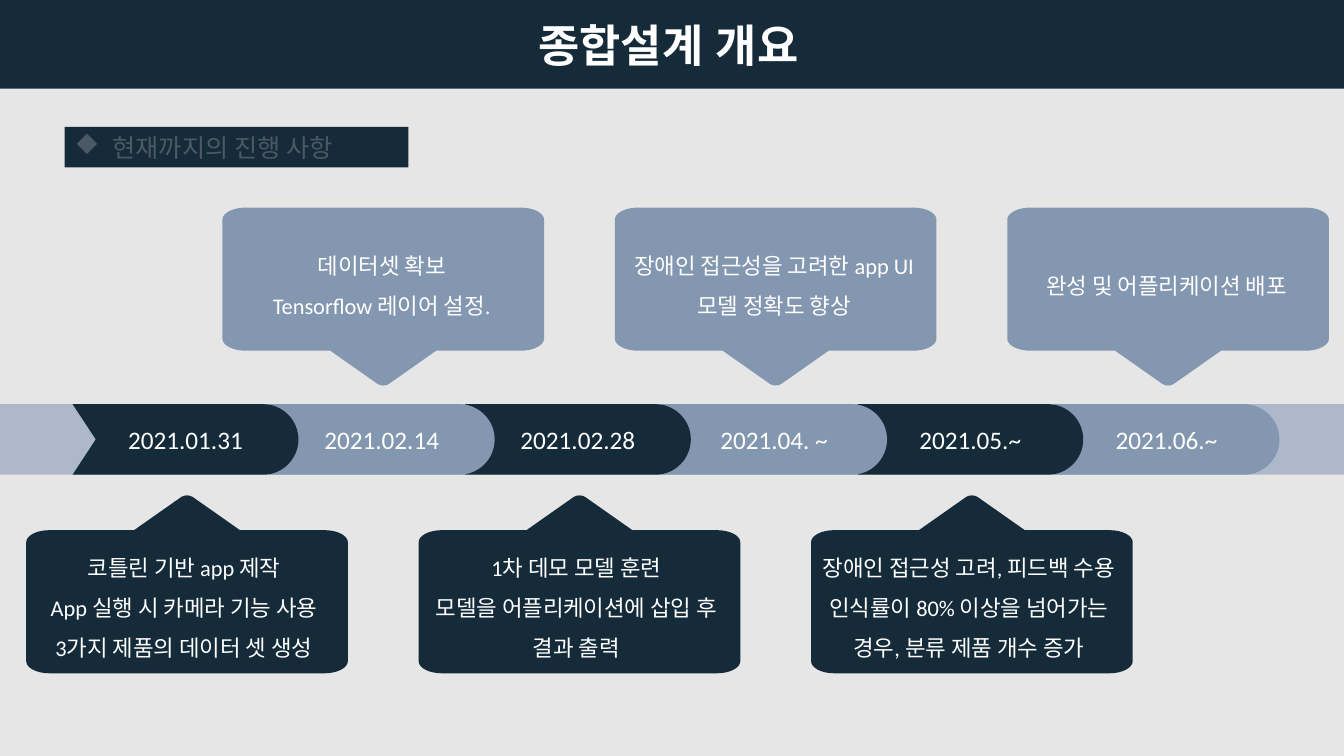
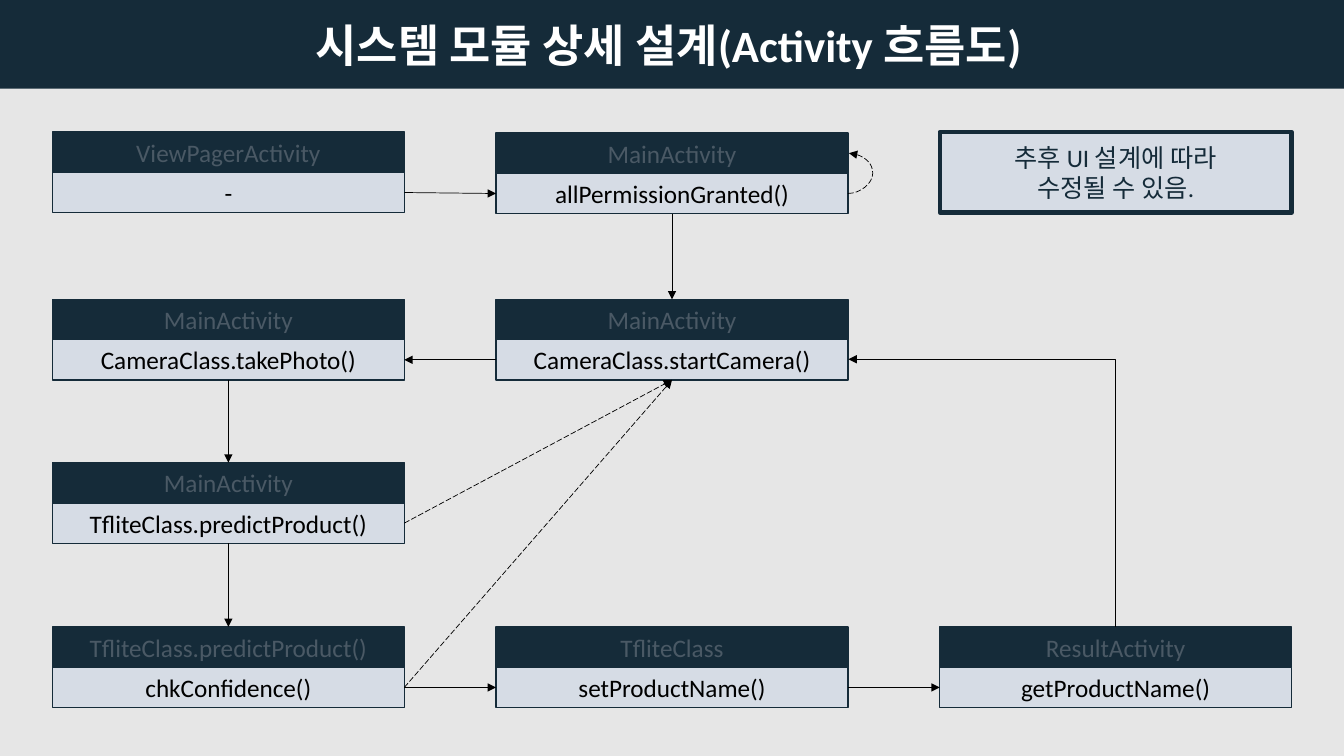
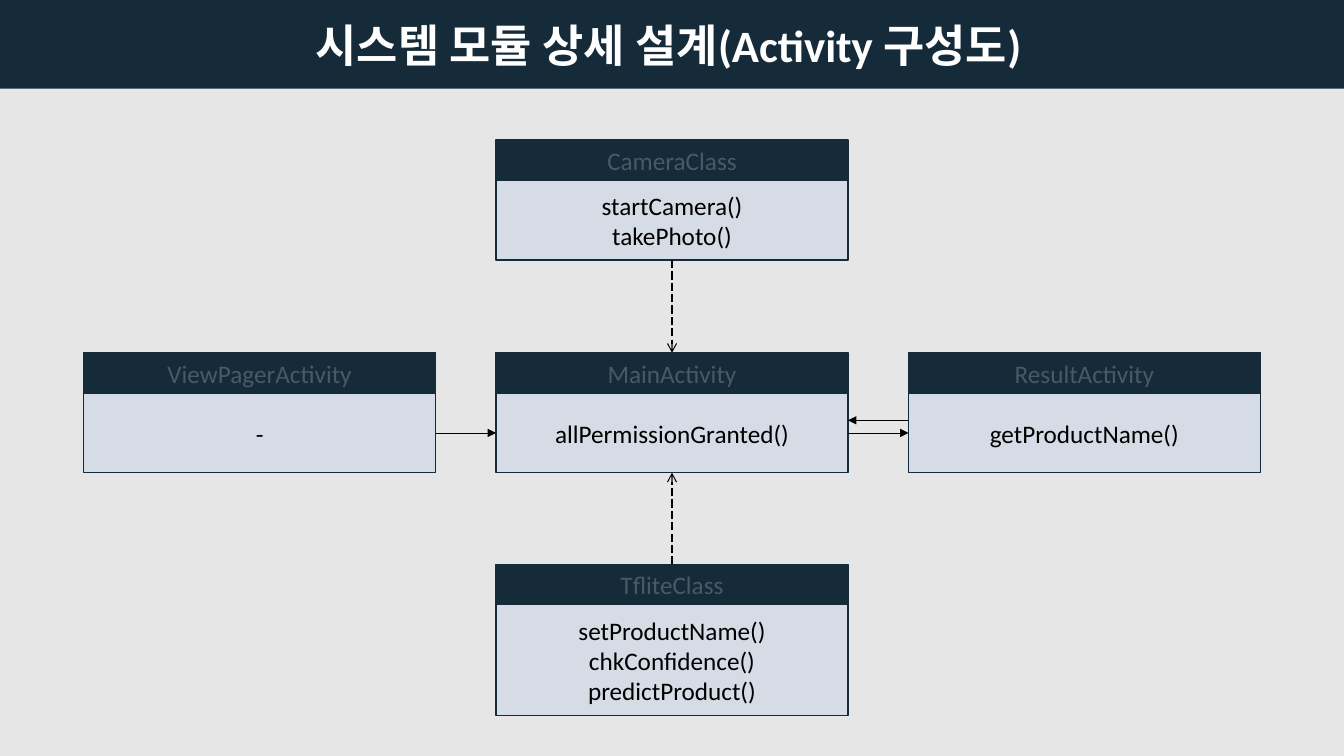
from lxml import etree
from pptx import Presentation
from pptx.dml.color import RGBColor
from pptx.enum import dml, shapes, text
from pptx.oxml import ns
from pptx.util import Inches, Pt

NAVY, SLATE, MIST, PALE = "152B39", "8497B0", "ADB9CA", "D6DCE5"
WHITE, BLACK, FAINT, GROUND = "FFFFFF", "000000", "4A5965", "E6E6E6"
SLIDE_W, SLIDE_H, BAND_H = 13.33, 7.5, 0.88
TOP, LEFT, BOTTOM, RIGHT = 0, 1, 2, 3
TITLE_CENTER = 6.63
CARD_W, CARD_HEAD_H = 3.49, 0.4


def rgb(value):
    return RGBColor.from_string(value)


def sub(parent, tag, **attributes):
    return etree.SubElement(parent, ns.qn(tag), **attributes)


def write(frame, content, size=18, color=WHITE, font="Calibri", bold=False,
          align=text.PP_ALIGN.CENTER, spacing=None, bullet=None,
          insets=(0.1, 0.05, 0.1, 0.05), wrap=True):
    """Fill a text frame, one paragraph for each line of content."""
    frame.word_wrap = wrap
    frame.auto_size = text.MSO_AUTO_SIZE.NONE
    frame.vertical_anchor = text.MSO_ANCHOR.MIDDLE
    (frame.margin_left, frame.margin_top,
     frame.margin_right, frame.margin_bottom) = map(Inches, insets)
    for i, line in enumerate(content.split("\n")):
        paragraph = frame.add_paragraph() if i else frame.paragraphs[0]
        if bullet:
            bullet_font, bullet_char = bullet
            props = paragraph._p.get_or_add_pPr()
            sub(props, "a:buFont", typeface=bullet_font, charset="2")
            sub(props, "a:buChar", char=bullet_char)
        paragraph.alignment = align
        paragraph.space_before = Pt(0)
        if spacing:
            paragraph.line_spacing = spacing
        run = paragraph.add_run()
        run.text = line
        run.font.size, run.font.bold, run.font.name = Pt(size), bold, font
        run.font.color.rgb = rgb(color)
        sub(run._r.get_or_add_rPr(), "a:ea", typeface=font)


def rounded(start, corner, end):
    """A line to start, then a quarter ellipse around the corner to end."""
    def toward_corner(point):
        return tuple(p + 0.55 * (c - p) for p, c in zip(point, corner))
    return [start, (toward_corner(start), toward_corner(end), end)]


class Deck:
    def __init__(self):
        self.prs = Presentation()
        self.prs.slide_width, self.prs.slide_height = Inches(SLIDE_W), Inches(SLIDE_H)
        ground = self.prs.slide_master.background.fill
        ground.solid()
        ground.fore_color.rgb = rgb(GROUND)
        self.slide = None

    def place(self, item, left, top, width, height):
        item.left, item.top = Inches(left), Inches(top)
        item.width, item.height = Inches(width), Inches(height)

    def paint(self, shape, fill, line=None, weight=1):
        shape.shadow.inherit = False
        shape.fill.solid()
        shape.fill.fore_color.rgb = rgb(fill)
        if line:
            shape.line.color.rgb = rgb(line)
            shape.line.width = Pt(weight)
        else:
            shape.line.fill.background()
        return shape

    def new_slide(self, title, title_width, font="Calibri", layout=5):
        self.slide = self.prs.slides.add_slide(self.prs.slide_layouts[layout])
        band = self.rect(0, 0, SLIDE_W, BAND_H, NAVY)
        self.slide.shapes._spTree.insert(2, band._element)  # behind the title
        heading = self.slide.shapes.title
        self.place(heading, TITLE_CENTER - title_width / 2, 0.12, title_width, 0.64)
        write(heading.text_frame, title, size=32, bold=True, font=font, wrap=False)

    def section(self, content, left, top, width, height):
        body = self.slide.placeholders[1]
        self.place(body, left, top, width, height)
        body.fill.solid()
        body.fill.fore_color.rgb = rgb(NAVY)
        write(body.text_frame, content, color=FAINT, bullet=("Wingdings", "u"),
              align=text.PP_ALIGN.LEFT)

    def rect(self, left, top, width, height, fill, line=None, weight=1):
        shape = self.slide.shapes.add_shape(
            shapes.MSO_SHAPE.RECTANGLE,
            Inches(left), Inches(top), Inches(width), Inches(height))
        return self.paint(shape, fill, line, weight)

    def outline(self, left, base, flip, steps, fill):
        """Steps are points, or curves given as (control, control, end)."""
        curves = [step for step in steps if isinstance(step[0], tuple)]
        points = [point for step in steps
                  for point in (step if step in curves else [step])]
        start, *others = [(Inches(left + x), Inches(base + flip * y)) for x, y in points]
        builder = self.slide.shapes.build_freeform(*start, scale=1.0)
        builder.add_line_segments(others, close=True)
        shape = builder.convert_to_shape()
        # Turn each curve's three line segments into one Bézier segment
        segments = iter(list(next(shape._element.iter(ns.qn("a:path")))))
        for step in steps:
            segment = next(segments)
            if step in curves:
                parts = [segment, next(segments), next(segments)]
                bezier = etree.Element(ns.qn("a:cubicBezTo"))
                segment.addprevious(bezier)
                for part in parts:
                    bezier.append(part[0])
                    part.getparent().remove(part)
        return self.paint(shape, fill)

    def date_step(self, left, date, fill):
        height, straight, notch = 0.7, 1.89, 0.23
        radius = height / 2
        end = straight + radius
        steps = [(0, 0),
                 *rounded((straight, 0), (end, 0), (end, radius)),
                 *rounded((end, radius), (end, height), (straight, height))[1:],
                 (0, height), (notch, radius)]
        write(self.outline(left, 4.01, 1, steps, fill).text_frame, date)

    def callout(self, left, content, points_up):
        w, h, rx, ry = 3.19, 1.42, 0.23, 0.12
        steps = [(1.07, 0), (1.54, -0.33),
                 ((1.57, -0.35), (1.62, -0.35), (1.65, -0.33)), (2.12, 0),
                 *rounded((w - rx, 0), (w, 0), (w, ry)),
                 *rounded((w, h - ry), (w, h), (w - rx, h)),
                 *rounded((rx, h), (0, h), (0, h - ry)),
                 *rounded((0, ry), (0, 0), (rx, 0))]
        if points_up:
            base, flip, fill, insets = 5.26, 1, NAVY, (0, 0.35, 0.06, 0.02)
        else:
            base, flip, fill, insets = 3.48, -1, SLATE, (0.06, 0.03, 0.09, 0.39)
        shape = self.outline(left, base, flip, steps, fill)
        write(shape.text_frame, content, size=16, spacing=1.5, insets=insets)

    def card(self, left, top, name, methods, body_height=0.4):
        """A class box; returns its header and its body."""
        head = self.rect(left, top, CARD_W, CARD_HEAD_H, NAVY, NAVY)
        write(head.text_frame, name, color=FAINT)
        body = self.rect(left, top + CARD_HEAD_H, CARD_W, body_height, PALE, NAVY)
        write(body.text_frame, methods, color=BLACK)
        return head, body

    def arrow(self, start, end, kind=shapes.MSO_CONNECTOR.STRAIGHT,
              weight=0.5, dashed=False, head="triangle"):
        """Ends are (x, y) in inches, or (shape, side) to join a rectangle."""
        joined = not isinstance(start[0], (int, float))
        ends = (0, 0, 0, 0) if joined else map(Inches, (*start, *end))
        line = self.slide.shapes.add_connector(kind, *ends)
        if joined:
            line.begin_connect(*start)
            line.end_connect(*end)
        line.line.color.rgb = rgb(BLACK)
        line.line.width = Pt(weight)
        if dashed:
            line.line.dash_style = dml.MSO_LINE.LONG_DASH
        sub(line.line._get_or_add_ln(), "a:tailEnd", type=head)
        sub(line._element.spPr, "a:effectLst")
        return line

    def corner_arrow(self, start, end):
        """Goes up from start, then left to end."""
        line = self.arrow((end[0], start[1]), (start[0], end[1]),
                          kind=shapes.MSO_CONNECTOR.ELBOW)
        props = line._element.spPr
        props.find(ns.qn("a:prstGeom")).set("prst", "bentConnector2")
        props.find(ns.qn("a:xfrm")).set("rot", "16200000")

    def loop_arrow(self, start, end, bulge):
        line = self.arrow(start, end, kind=shapes.MSO_CONNECTOR.CURVE, dashed=True)
        geometry = line._element.spPr.find(ns.qn("a:prstGeom"))
        guides = geometry.find(ns.qn("a:avLst"))
        if guides is None:
            guides = sub(geometry, "a:avLst")
        ratio = round(bulge / (end[0] - start[0]) * 100000)
        sub(guides, "a:gd", name="adj1", fmla=f"val {ratio}")


def progress_slide(deck):
    deck.new_slide("종합설계 개요", 2.92, font="Arial", layout=1)
    deck.section("현재까지의 진행 사항", 0.64, 1.26, 3.41, 0.4)
    deck.rect(0, 4.01, SLIDE_W, 0.7, MIST)
    steps = [
        ("2021.01.31", "코틀린 기반 app 제작\nApp 실행 시 카메라 기능 사용\n3가지 제품의 데이터 셋 생성"),
        ("2021.02.14", "데이터셋 확보\nTensorflow 레이어 설정."),
        ("2021.02.28", "1차 데모 모델 훈련\n모델을 어플리케이션에 삽입 후 결과 출력"),
        ("2021.04. ~", "장애인 접근성을 고려한 app UI\n모델 정확도 향상"),
        ("2021.05.~", "장애인 접근성 고려, 피드백 수용\n인식률이 80% 이상을 넘어가는 경우, 분류 제품 개수 증가"),
        ("2021.06.~", "완성 및 어플리케이션 배포"),
    ]
    pitch = 9.73 / 5
    # Each date overlaps the next, so the last one is drawn first
    for i, (date, work) in reversed(list(enumerate(steps))):
        deck.date_step(0.72 + pitch * i, date, SLATE if i % 2 else NAVY)
    for i, (date, work) in enumerate(steps):
        deck.callout(0.26 + pitch * i, work, points_up=i % 2 == 0)


def flow_slide(deck):
    deck.new_slide("시스템 모듈 상세 설계(Activity 흐름도)", 8)
    col1, col2, col3 = (0.52 + 4.4 * i for i in range(3))
    row2, row3, row4 = 2.97, 4.59, 6.22

    # Class boxes
    _, pager = deck.card(col1, 1.31, "ViewPagerActivity", "-")
    _, permission = deck.card(col2, 1.32, "MainActivity", "allPermissionGranted()")
    camera_head, camera = deck.card(col2, row2, "MainActivity", "CameraClass.startCamera()")
    _, photo = deck.card(col1, row2, "MainActivity", "CameraClass.takePhoto()")
    predict_head, predict = deck.card(col1, row3, "MainActivity", "TfliteClass.predictProduct()")
    check_head, check = deck.card(col1, row4, "TfliteClass.predictProduct()", "chkConfidence()")
    _, set_name = deck.card(col2, row4, "TfliteClass", "setProductName()")
    _, get_name = deck.card(col3, row4, "ResultActivity", "getProductName()")

    # Main flow
    for start, end in [
        ((pager, RIGHT), (permission, LEFT)),
        ((permission, BOTTOM), (camera_head, TOP)),
        ((camera, LEFT), (photo, RIGHT)),
        ((photo, BOTTOM), (predict_head, TOP)),
        ((predict, BOTTOM), (check_head, TOP)),
        ((check, RIGHT), (set_name, LEFT)),
        ((set_name, RIGHT), (get_name, LEFT)),
    ]:
        deck.arrow(start, end)

    # Ways back
    deck.corner_arrow((11.07, row4), (8.41, 3.57))
    deck.loop_arrow((8.41, 1.92), (8.42, 1.52), bulge=0.25)
    for source in (check, predict):
        deck.arrow((source, RIGHT), (camera, BOTTOM), dashed=True)

    notice = deck.rect(col3, 1.31, CARD_W, 0.8, PALE, NAVY, weight=3)
    write(notice.text_frame, "추후 UI 설계에 따라\n수정될 수 있음.", color=NAVY)


def structure_slide(deck):
    deck.new_slide("시스템 모듈 상세 설계(Activity 구성도)", 8.17)
    col1, col2, col3 = (0.83 + 4.09 * i for i in range(3))
    middle, tall = 3.5, 0.79

    # Class boxes
    main_head, main_body = deck.card(col2, middle, "MainActivity", "allPermissionGranted()", tall)
    _, camera = deck.card(col2, 1.39, "CameraClass", "startCamera()\ntakePhoto()", tall)
    tflite_head, _ = deck.card(col2, 5.6, "TfliteClass",
                               "setProductName()\nchkConfidence()\npredictProduct()", 1.1)
    _, pager = deck.card(col1, middle, "ViewPagerActivity", "-", tall)
    _, result = deck.card(col3, middle, "ResultActivity", "getProductName()", tall)

    # Calls between activities, then classes in use
    deck.arrow((pager, RIGHT), (main_body, LEFT))
    deck.arrow((main_body, RIGHT), (result, LEFT))
    deck.arrow((col3, 4.17), (col2 + CARD_W, 4.17))
    for start, end in [((camera, BOTTOM), (main_head, TOP)),
                       ((tflite_head, TOP), (main_body, BOTTOM))]:
        deck.arrow(start, end, weight=0.75, dashed=True, head="arrow")


def main():
    deck = Deck()
    progress_slide(deck)
    flow_slide(deck)
    structure_slide(deck)
    deck.prs.save("out.pptx")


if __name__ == "__main__":
    main()
